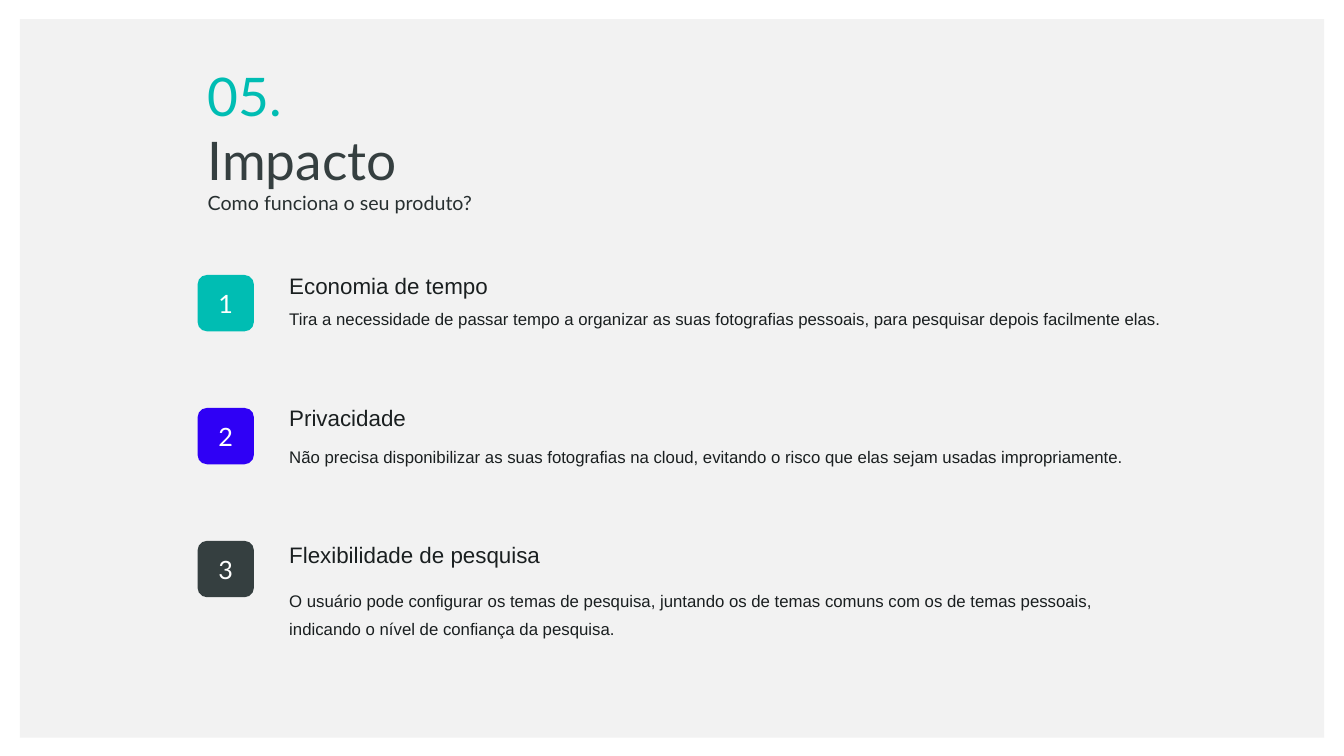
from pptx import Presentation
from pptx.dml.color import RGBColor
from pptx.enum.shapes import MSO_SHAPE
from pptx.enum.text import MSO_ANCHOR, MSO_AUTO_SIZE, PP_ALIGN
from pptx.util import Cm, Pt

RECT = MSO_SHAPE.RECTANGLE
ROUNDED = MSO_SHAPE.ROUNDED_RECTANGLE
TOP, MIDDLE = MSO_ANCHOR.TOP, MSO_ANCHOR.MIDDLE
NO_FIT = MSO_AUTO_SIZE.NONE
LEFT, CENTER = PP_ALIGN.LEFT, PP_ALIGN.CENTER

COLORS = {
    "panel": "F2F2F2",
    "teal": "00BDB3",
    "blue": "2F00F5",
    "slate": "353F40",
    "subtitle": "272F30",
    "text": "1A1F20",
    "white": "FFFFFF",
}


def add_block(shape, color):
    shape.shadow.inherit = False
    shape.fill.solid()
    shape.fill.fore_color.rgb = RGBColor.from_string(COLORS[color])
    shape.line.fill.background()


def write(p, text, font, size, color, **paragraph_format):
    for name, value in paragraph_format.items():
        setattr(p, name, value)
    r = p.add_run()
    r.text = text
    for name, value in {"name": font, "size": Pt(size), "bold": False}.items():
        setattr(r.font, name, value)
    r.font.color.rgb = RGBColor.from_string(COLORS[color])


prs = Presentation()
prs.slide_width, prs.slide_height = Cm(33.87), Cm(19.05)
s = prs.slides.add_slide(prs.slide_layouts[5])

panel = s.shapes.add_shape(RECT, Cm(0.5), Cm(0.48), Cm(32.87), Cm(18.11))
add_block(panel, "panel")

title = s.shapes.title
title.element.addprevious(panel.element)
title_box = {"left": 4.98, "top": 1.47, "width": 8.4, "height": 4.11}
for name, value in title_box.items():
    setattr(title, name, Cm(value))
tf = title.text_frame
for name, value in {"word_wrap": True, "auto_size": NO_FIT, "vertical_anchor": TOP}.items():
    setattr(tf, name, value)
heading = [
    ("05.", 38, "teal"),
    ("Impacto", 38, "slate"),
    ("Como funciona o seu produto?", 14, "subtitle"),
]
for i, (text, size, color) in enumerate(heading):
    p = tf.add_paragraph() if i else tf.paragraphs[0]
    write(p, text, "Lato", size, color, alignment=LEFT)

benefits = [
    ("teal", "Economia de tempo", 6.73, 25.1,
     "Tira a necessidade de passar tempo a organizar as suas fotografias pessoais, "
     "para pesquisar depois facilmente elas.", 7.44, 0.97),
    ("blue", "Privacidade", 10.06, 8.03,
     "Não precisa disponibilizar as suas fotografias na cloud, "
     "evitando o risco que elas sejam usadas impropriamente.", 10.92, 0.97),
    ("slate", "Flexibilidade de pesquisa", 13.51, 10.19,
     "O usuário pode configurar os temas de pesquisa, juntando os de temas comuns "
     "com os de temas pessoais, indicando o nível de confiança da pesquisa.", 14.55, 1.7),
]
for i, (color, name, name_top, name_width, detail, detail_top, detail_height) in enumerate(benefits):
    badge = s.shapes.add_shape(ROUNDED, Cm(4.98), Cm(6.93 + 3.35 * i), Cm(1.42), Cm(1.42))
    add_block(badge, color)
    badge.text_frame.vertical_anchor = MIDDLE
    write(badge.text_frame.paragraphs[0], str(i + 1), "Lato", 18, "white", alignment=CENTER)

    texts = [
        (name, name_top, name_width, 0.94, 16, 1.0),
        (detail, detail_top, 22.63, detail_height, 12, 1.4),
    ]
    for text, top, width, height, size, spacing in texts:
        sp = s.shapes.add_textbox(Cm(7.04), Cm(top), Cm(width), Cm(height))
        sp.text_frame.word_wrap = True
        write(sp.text_frame.paragraphs[0], text, "Arial", size, "text", line_spacing=spacing)

prs.save("out.pptx")
